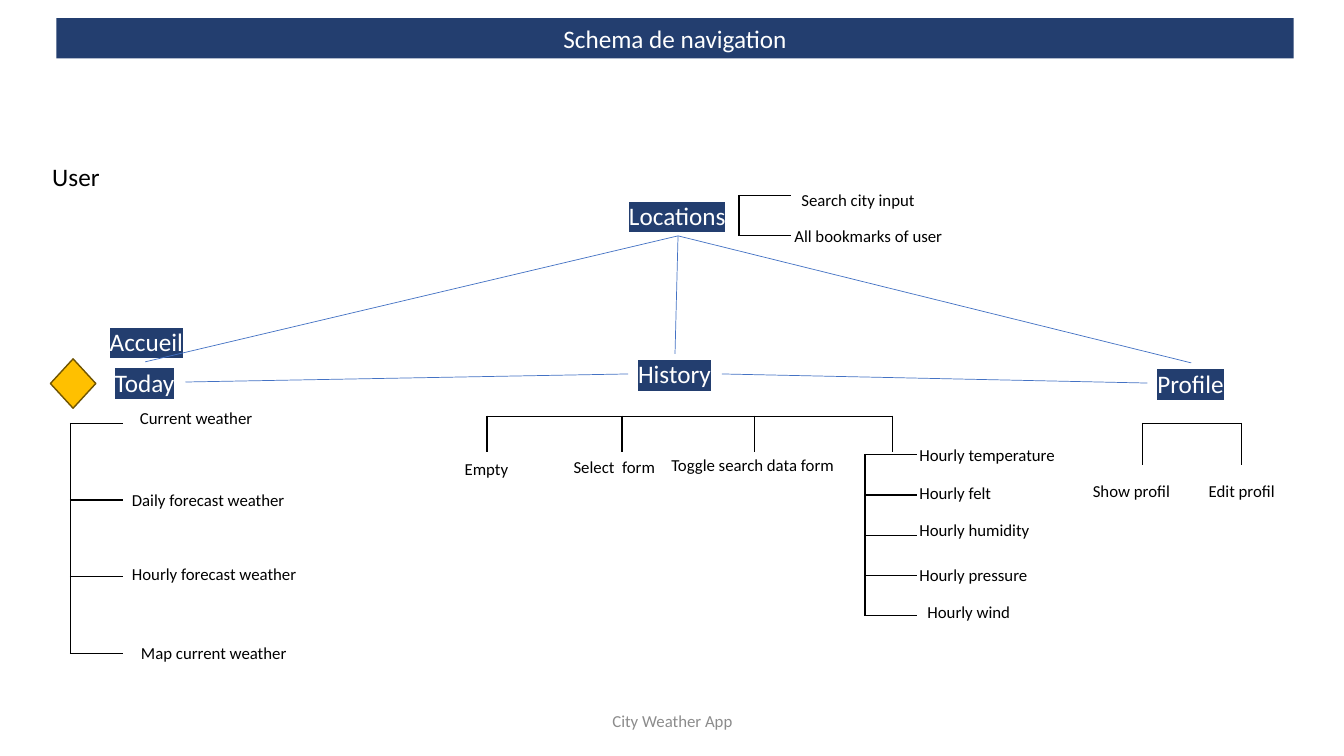
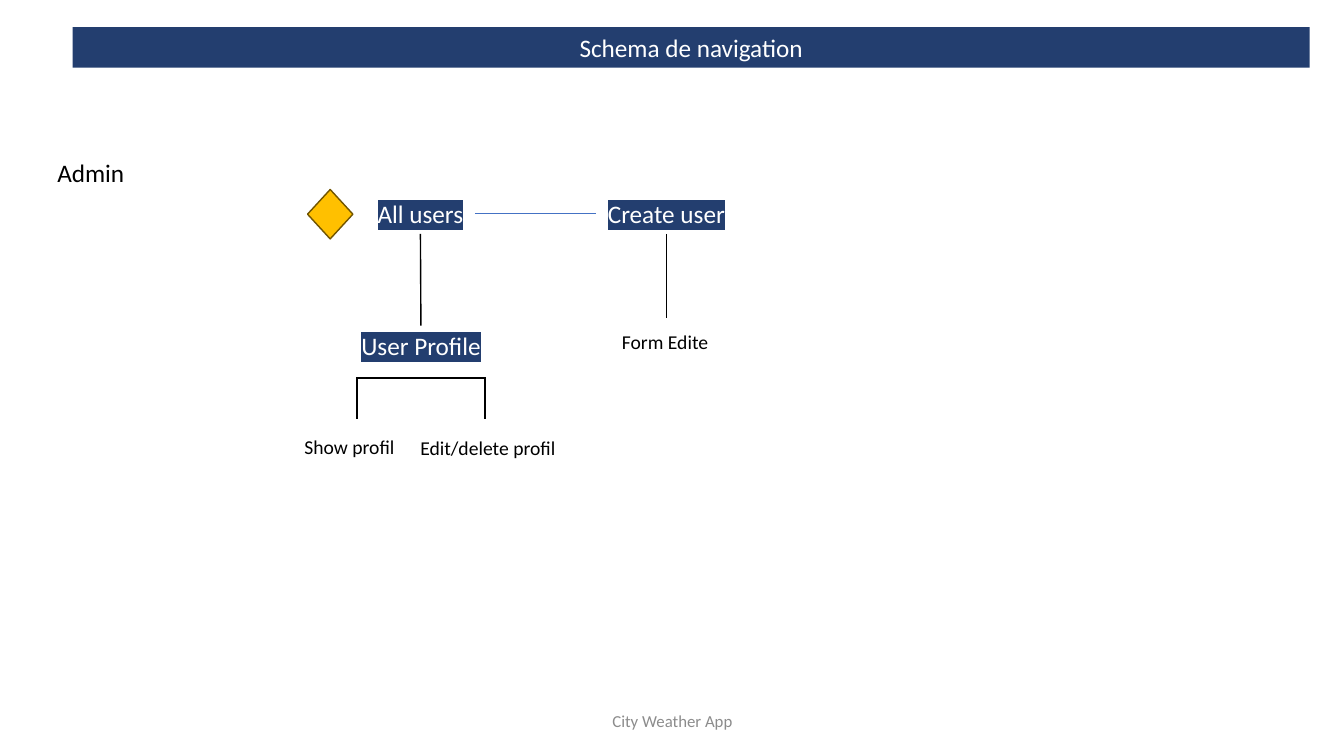
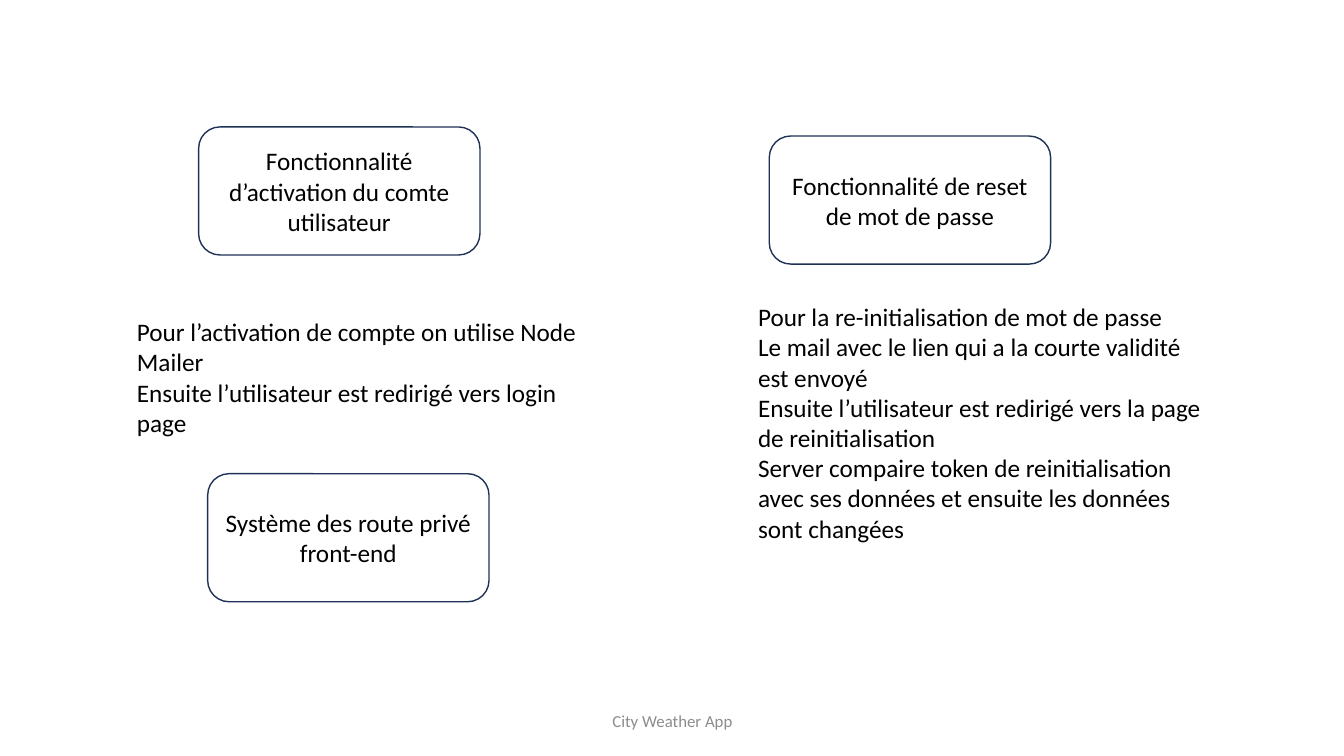
from dataclasses import dataclass

from lxml.etree import SubElement
from pptx import Presentation
from pptx.dml.color import RGBColor
from pptx.enum.shapes import MSO_CONNECTOR, MSO_SHAPE
from pptx.enum.text import MSO_ANCHOR, MSO_AUTO_SIZE, PP_ALIGN
from pptx.oxml.ns import qn
from pptx.util import Inches, Pt

TOP, LEFT, BOTTOM, RIGHT = range(4)


@dataclass(frozen=True)
class Theme:
    font: str = "Calibri"
    navy: str = "233E6F"
    outline: str = "1E3256"
    link: str = "4472C4"
    gold: str = "FFC000"
    gold_edge: str = "705400"
    black: str = "000000"
    white: str = "FFFFFF"
    grey: str = "8C8C8C"
    body: int = 18
    label: int = 14
    small: int = 12


class Deck:
    """Holds the theme and the slide being built."""

    def __init__(self, theme):
        self.theme = theme
        self.prs = Presentation()
        self.prs.slide_width, self.prs.slide_height = Inches(13.33), Inches(7.5)
        self.slide = None

    def new_slide(self, title=None, left=0, top=0):
        layout = self.prs.slide_layouts[5 if title else 6]
        self.slide = self.prs.slides.add_slide(layout)
        self.text("City Weather App", 4.42, 6.95, 4.5,
                  size=self.theme.small, color=self.theme.grey,
                  align=PP_ALIGN.CENTER, anchor=MSO_ANCHOR.MIDDLE)
        if title:
            self.title_band(title, left, top)

    def title_band(self, title, left, top):
        band = self.slide.shapes.title
        band.left, band.top = Inches(left), Inches(top)
        band.width, band.height = Inches(12.27), Inches(0.4)
        self.paint(band, self.theme.navy)
        self.set_words(band.text_frame, title, self.theme.body, self.theme.white,
                       PP_ALIGN.CENTER)

    def paint(self, shape, fill, line=None):
        shape.fill.solid()
        shape.fill.fore_color.rgb = RGBColor.from_string(fill)
        if line:
            shape.line.color.rgb = RGBColor.from_string(line)
            shape.line.width = Pt(1)

    def set_words(self, frame, words, size, color, align=PP_ALIGN.LEFT,
                  highlight=None):
        frame.text = words
        frame.word_wrap = True
        frame.auto_size = MSO_AUTO_SIZE.NONE
        for paragraph in frame.paragraphs:
            paragraph.alignment = align
            for run in paragraph.runs:
                run.font.name, run.font.size = self.theme.font, Pt(size)
                run.font.color.rgb = RGBColor.from_string(color)
                if highlight:
                    props = run.font._element
                    mark = SubElement(props, qn("a:highlight"))
                    SubElement(mark, qn("a:srgbClr"), val=highlight)
                    props.find(qn("a:solidFill")).addnext(mark)

    def text(self, words, left, top, width, height=0.4, size=None, color=None,
             align=PP_ALIGN.LEFT, anchor=MSO_ANCHOR.TOP, highlight=None, wrap=True):
        box = self.slide.shapes.add_textbox(
            Inches(left), Inches(top), Inches(width), Inches(height))
        self.set_words(box.text_frame, words, size or self.theme.body,
                       color or self.theme.black, align, highlight)
        box.text_frame.vertical_anchor = anchor
        box.text_frame.word_wrap = wrap
        return box

    def page(self, name, left, top, width, align=PP_ALIGN.LEFT):
        return self.text(name, left, top, width, color=self.theme.white,
                         align=align, highlight=self.theme.navy, wrap=False)

    def labels(self, items, size, height):
        for words, left, top, width in items:
            self.text(words, left, top, width, height, size, wrap=False)

    def bracket(self, left, top, columns, rows, edges):
        """Draw an empty table with only the named cell edges (L, R, T, B)."""
        table = self.slide.shapes.add_table(
            len(rows), len(columns), Inches(left), Inches(top),
            Inches(sum(columns)), Inches(sum(rows))).table
        table.first_row = table.horz_banding = False
        for column, width in zip(table.columns, columns):
            column.width = Inches(width)
        for row, height in zip(table.rows, rows):
            row.height = Inches(height)
        for cell in table.iter_cells():
            cell.margin_top = cell.margin_bottom = 0
            props = cell._tc.get_or_add_tcPr()
            for edge in "LRTB":
                border = SubElement(props, qn(f"a:ln{edge}"), w=str(Pt(1)))
                if edge in edges:
                    fill = SubElement(border, qn("a:solidFill"))
                    SubElement(fill, qn("a:srgbClr"), val=self.theme.black)
                else:
                    SubElement(border, qn("a:noFill"))
            cell.fill.background()

    def fork(self, left, top, columns, drop):
        self.bracket(left, top, columns, [drop], "LRT")

    def ladder(self, left, top, step, count):
        self.bracket(left, top, [0.52], [step] * count, "LTB")

    def line(self, start, start_side, end, end_side, color=None, width=0.5):
        """Join two boxes; end may also be a free (x, y) point."""
        free = isinstance(end, tuple)
        x, y = map(Inches, end) if free else (end.left, end.top)
        link = self.slide.shapes.add_connector(
            MSO_CONNECTOR.STRAIGHT, start.left, start.top, x, y)
        link.begin_connect(start, start_side)
        if not free:
            link.end_connect(end, end_side)
        link.line.color.rgb = RGBColor.from_string(color or self.theme.link)
        link.line.width = Pt(width)
        SubElement(link._element.spPr, qn("a:effectLst"))

    def start_mark(self, left, top):
        diamond = self.slide.shapes.add_shape(
            MSO_SHAPE.FLOWCHART_DECISION, Inches(left), Inches(top),
            Inches(0.45), Inches(0.49))
        diamond.shadow.inherit = False
        self.paint(diamond, self.theme.gold, self.theme.gold_edge)

    def card(self, words, left, top):
        card = self.slide.shapes.add_shape(
            MSO_SHAPE.ROUNDED_RECTANGLE, Inches(left), Inches(top),
            Inches(2.79), Inches(1.27))
        card.shadow.inherit = False
        self.paint(card, self.theme.white, self.theme.outline)
        self.set_words(card.text_frame, words, self.theme.body, self.theme.black,
                       PP_ALIGN.CENTER)
        card.text_frame.vertical_anchor = MSO_ANCHOR.MIDDLE


def user_navigation(deck):
    deck.new_slide("Schema de navigation", 0.56, 0.18)
    deck.text("User", 0.42, 1.55, 0.73)

    # Pages
    deck.page("Accueil", 0.99, 3.19, 0.96)
    locations = deck.page("Locations", 6.14, 1.94, 1.17)
    today = deck.page("Today", 1.04, 3.59, 0.8)
    history = deck.page("History", 6.23, 3.51, 0.93)
    profile = deck.page("Profile", 11.38, 3.6, 0.87)

    # Brackets under and beside the pages
    deck.ladder(7.33, 1.94, 0.4, 1)
    deck.ladder(0.7, 4.2, 0.76, 3)
    deck.fork(4.83, 4.13, [1.34, 1.31, 1.37], 0.35)
    deck.ladder(8.58, 4.51, 0.4, 4)
    deck.fork(11.33, 4.2, [0.98], 0.41)

    # Contents of each page
    deck.labels([
        ("Search city input", 7.85, 1.83, 1.34),
        ("All bookmarks of user", 7.78, 2.19, 1.69),
        ("Current weather", 1.29, 4, 1.33),
        ("Daily forecast weather", 1.21, 4.81, 1.73),
        ("Hourly forecast weather", 1.21, 5.54, 1.85),
        ("Map current weather", 1.3, 6.33, 1.66),
        ("Empty", 4.51, 4.5, 0.68),
        ("Select  form", 5.59, 4.48, 1.02),
        ("Toggle search data form", 6.56, 4.46, 1.83),
        ("Hourly temperature", 9.02, 4.36, 1.56),
        ("Hourly felt", 9.02, 4.74, 0.92),
        ("Hourly humidity", 9.02, 5.11, 1.3),
        ("Hourly pressure", 9.02, 5.55, 1.28),
        ("Hourly wind", 9.1, 5.92, 1.03),
        ("Show profil", 10.74, 4.72, 0.98),
        ("Edit profil", 11.89, 4.72, 0.86),
    ], deck.theme.small, 0.3)

    # Links between pages
    for target in (today, history, profile):
        deck.line(locations, BOTTOM, target, TOP)
    deck.line(today, RIGHT, history, LEFT)
    deck.line(history, RIGHT, profile, LEFT)
    deck.start_mark(0.5, 3.56)


def admin_navigation(deck):
    deck.new_slide("Schema de navigation", 0.72, 0.27)
    deck.text("Admin", 0.47, 1.51, 0.87)

    # Pages and their contents
    all_users = deck.page("All users", 3.63, 1.92, 1.08, PP_ALIGN.CENTER)
    user_profile = deck.page("User Profile", 3.17, 3.23, 2.01, PP_ALIGN.CENTER)
    create_user = deck.page("Create user", 5.91, 1.92, 1.4, PP_ALIGN.CENTER)
    deck.fork(3.54, 3.75, [1.27], 0.41)
    deck.labels([
        ("Show profil", 2.92, 4.27, 1.1),
        ("Edit/delete profil", 4.07, 4.28, 1.56),
        ("Form Edite", 6.07, 3.22, 1.07),
    ], deck.theme.label, 0.34)

    # Links
    deck.line(all_users, BOTTOM, user_profile, TOP, deck.theme.black, 1)
    deck.line(create_user, BOTTOM, (6.61, 3.15), None, deck.theme.black, 1)
    deck.line(all_users, RIGHT, create_user, LEFT)
    deck.start_mark(3.05, 1.88)


def account_features(deck):
    deck.new_slide()
    deck.card("Fonctionnalité d’activation du comte utilisateur", 1.97, 1.26)
    deck.card("Fonctionnalité de reset de mot de passe", 7.63, 1.35)
    deck.card("Système des route privé front-end", 2.06, 4.7)
    deck.text("Pour l’activation de compte on utilise Node Mailer\n"
              "Ensuite l’utilisateur est redirigé vers login page",
              1.26, 3.09, 4.66, 1.62)
    deck.text("Pour la re-initialisation de mot de passe\n"
              "Le mail avec le lien qui a la courte validité est envoyé\n"
              "Ensuite l’utilisateur est redirigé vers la page de reinitialisation\n"
              "Server compaire token de reinitialisation avec ses données "
              "et ensuite les données sont changées",
              7.42, 2.94, 4.66, 2.52)


def main():
    deck = Deck(Theme())
    user_navigation(deck)
    admin_navigation(deck)
    account_features(deck)
    deck.prs.save("out.pptx")


if __name__ == "__main__":
    main()
